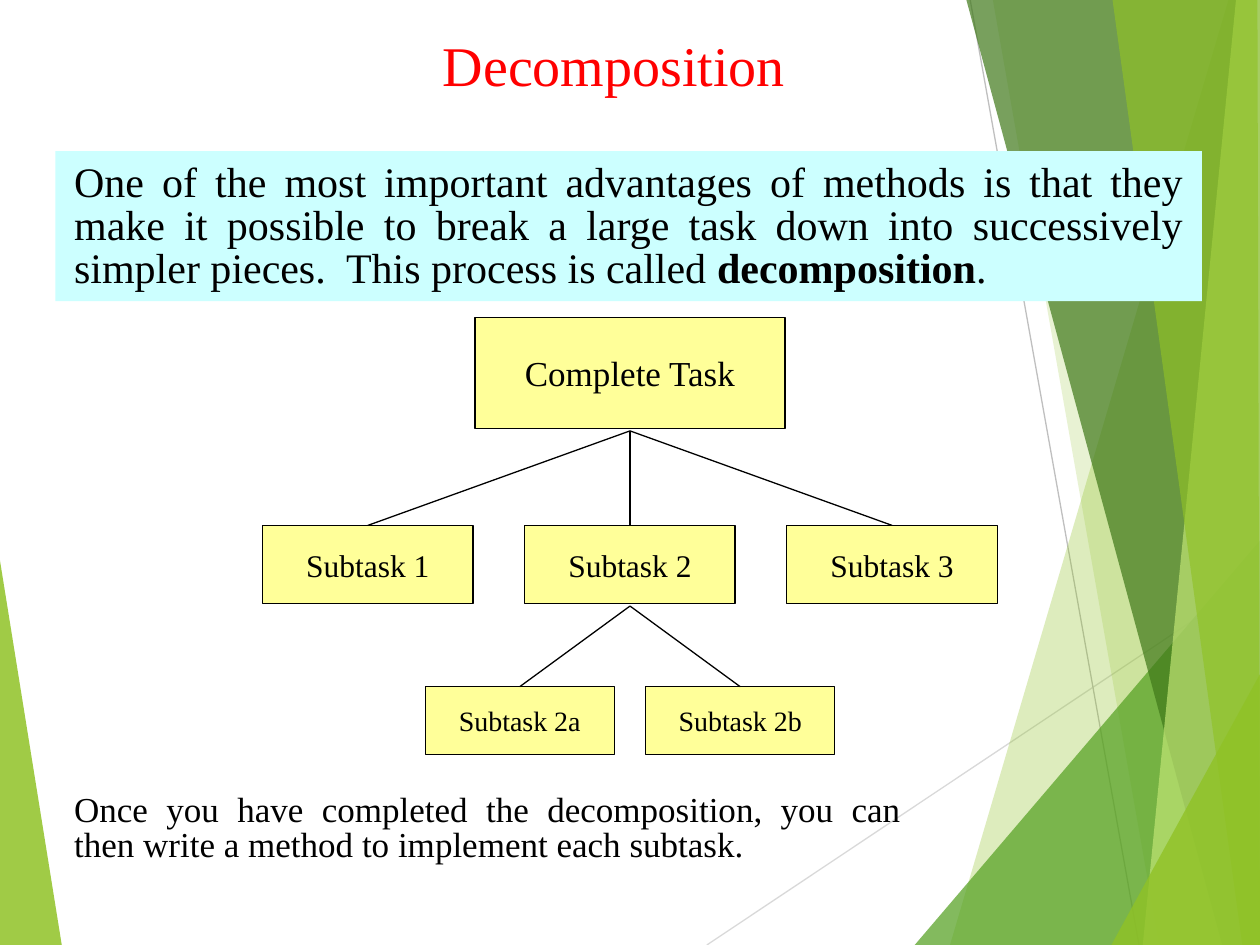
from lxml import etree
from pptx import Presentation
from pptx.dml.color import RGBColor
from pptx.enum.shapes import MSO_CONNECTOR as CONN, MSO_SHAPE as SHAPE
from pptx.enum.text import MSO_ANCHOR as ANCHOR, PP_ALIGN as ALIGN
from pptx.oxml.ns import qn
from pptx.util import Inches, Pt

FONT = "Times New Roman"
BLACK, BOX_FILL, PANEL_FILL = "000000", "FFFF99", "CCFFFF"
LEAF, LIME, GREEN, FOREST = "90C226", "C0E474", "54A021", "3F7819"
CENTER = 5
LINE_GAP = 0.02  # from the bottom of a parent box to its branches

# Background facets: fill, opacity in percent, corner points
LEFT_FACET = (LEAF, 85, [(0, 4.45), (0.49, 7.5), (0, 7.5)])
RIGHT_FACETS = [
    (LEAF, 30, [(9.75, 0), (7.54, 7.5), (10, 7.5), (10, 0)]),
    (LEAF, 20, [(7.88, 0), (9.2, 7.5), (10, 7.5), (10, 0)]),
    (GREEN, 72, [(7.26, 7.5), (10, 4.29), (10, 7.5)]),
    (FOREST, 70, [(7.67, 0), (9.7, 7.5), (10, 7.5), (10, 0)]),
    (LIME, 70, [(9.81, 0), (9.07, 7.5), (10, 7.5), (10, 0)]),
    (LEAF, 65, [(8.83, 0), (9.86, 7.5), (10, 7.5), (9.98, 0)]),
    (LEAF, 80, [(8.82, 7.5), (10, 5.35), (10, 7.5)]),
]


def rgb(value):
    return RGBColor.from_string(value)


def paint(shape, fill, line=None, opacity=100):
    shape.shadow.inherit = False
    shape.fill.solid()
    shape.fill.fore_color.rgb = rgb(fill)
    if opacity < 100:
        color = shape.fill._xPr.find(qn("a:solidFill"))[0]
        etree.SubElement(color, qn("a:alpha"), val=str(opacity * 1000))
    if line:
        shape.line.color.rgb = rgb(line)
        shape.line.width = Pt(0.75)
    else:
        shape.line.fill.background()


def write(shape, *parts, size, color=BLACK, align=ALIGN.CENTER, anchor=ANCHOR.TOP,
          wrap=True, spacing=None, after=None):
    """Fill one paragraph; every second part is bold."""
    frame = shape.text_frame
    frame.word_wrap = wrap
    frame.vertical_anchor = anchor
    paragraph = frame.paragraphs[0]
    paragraph.alignment = align
    if spacing:
        paragraph.line_spacing = spacing
    if after:
        paragraph.space_after = Pt(after)
    for index, part in enumerate(parts):
        run = paragraph.add_run()
        run.text = part
        run.font.name = FONT
        run.font.size = Pt(size)
        run.font.bold = index % 2 == 1
        run.font.color.rgb = rgb(color)


def add_text(slide, left, top, width, height, *parts, **style):
    box = slide.shapes.add_textbox(Inches(left), Inches(top), Inches(width), Inches(height))
    write(box, *parts, **style)
    return box


def add_rect(slide, left, top, width, height, fill, line=None):
    rect = slide.shapes.add_shape(
        SHAPE.RECTANGLE, Inches(left), Inches(top), Inches(width), Inches(height))
    paint(rect, fill, line)
    return rect


def add_line(slide, start, end, color=BLACK):
    line = slide.shapes.add_connector(
        CONN.STRAIGHT, *(Inches(value) for value in (*start, *end)))
    line.line.color.rgb = rgb(color)
    line.line.width = Pt(0.75)
    etree.SubElement(line._element.spPr, qn("a:effectLst"))


def add_facet(slide, fill, opacity, points):
    corners = [(Inches(x), Inches(y)) for x, y in points]
    builder = slide.shapes.build_freeform(*corners[0])
    builder.add_line_segments(corners[1:])
    paint(builder.convert_to_shape(), fill, opacity=opacity)


def add_background(slide):
    add_facet(slide, *LEFT_FACET)
    add_line(slide, (5.61, 7.5), (10, 4.57), "D9D9D9")
    add_line(slide, (7.7, 0), (9.04, 7.5), "BFBFBF")
    for facet in RIGHT_FACETS:
        add_facet(slide, *facet)


def add_level(slide, labels, top, width, height, size, pitch=0, parent_bottom=None):
    """Draw one centred row of tasks and its branches; return the row's bottom."""
    first = CENTER - pitch * (len(labels) - 1) / 2
    for index, label in enumerate(labels):
        middle = first + index * pitch
        task = add_rect(slide, middle - width / 2, top, width, height, BOX_FILL, BLACK)
        write(task, label, size=size, anchor=ANCHOR.MIDDLE, wrap=False)
        if parent_bottom:
            add_line(slide, (CENTER, parent_bottom + LINE_GAP), (middle, top))
    return top + height


def main():
    prs = Presentation()
    prs.slide_width, prs.slide_height = Inches(10), Inches(7.5)
    slide = prs.slides.add_slide(prs.slide_layouts[6])
    add_background(slide)

    # Title, set slightly left of the centre
    title = add_text(slide, 0, 0.08, 10, 0.94, "Decomposition", size=32, color="FF0000")
    title.text_frame.margin_top = Inches(0.16)
    title.text_frame.margin_right = Inches(0.35)

    # Definition on its panel
    add_rect(slide, 0.44, 1.2, 9.1, 1.19, PANEL_FILL)
    body = {"align": ALIGN.JUSTIFY, "spacing": 0.85}
    add_text(slide, 0.49, 1.25, 9, 1.12,
             "One of the most important advantages of methods is that they make it possible "
             "to break a large task down into successively simpler pieces.  This process is called ",
             "decomposition", ".", size=24, after=15, **body)

    # Task tree
    bottom = add_level(slide, ["Complete Task"], 2.52, 2.46, 0.88, 20)
    bottom = add_level(slide, ["Subtask 1", "Subtask 2", "Subtask 3"],
                       4.17, 1.67, 0.62, 18, 2.08, bottom)
    add_level(slide, ["Subtask 2a", "Subtask 2b"], 5.45, 1.5, 0.54, 16, 1.75, bottom)

    # Closing remark
    add_text(slide, 0.49, 6.25, 6.76, 0.67,
             "Once you have completed the decomposition, you can then write a method "
             "to implement each subtask.", size=20, after=12.5, **body)

    prs.save("out.pptx")


if __name__ == "__main__":
    main()
